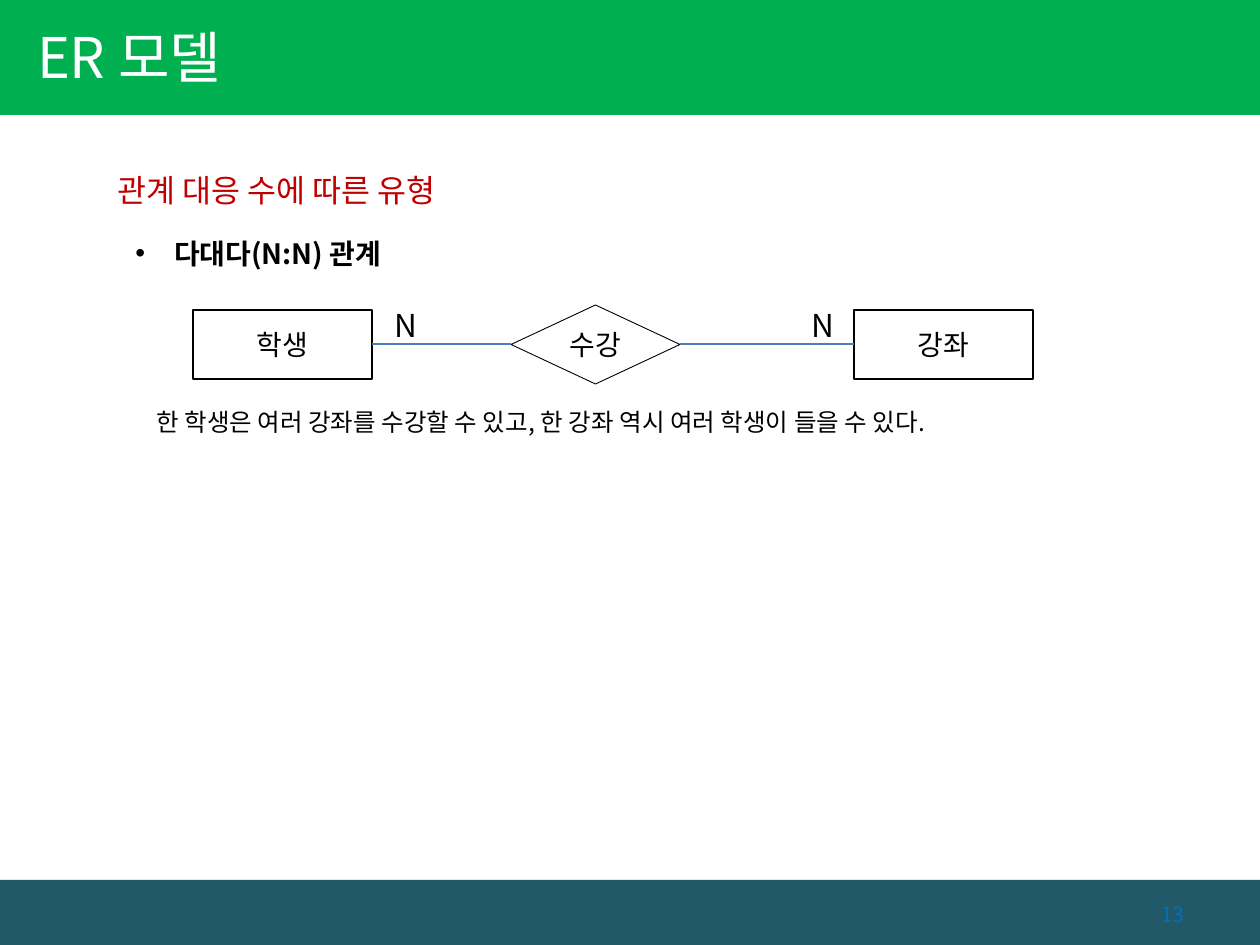
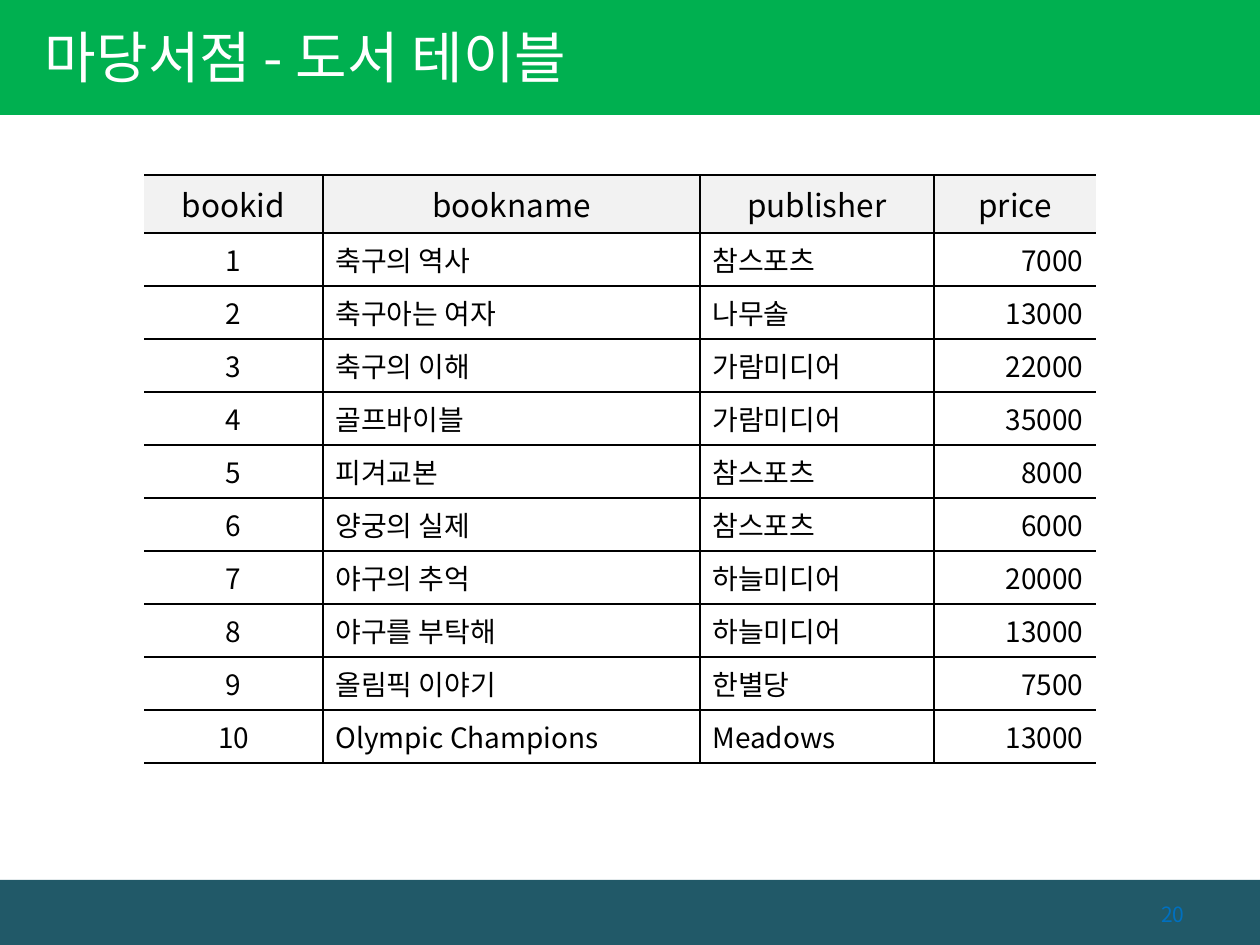
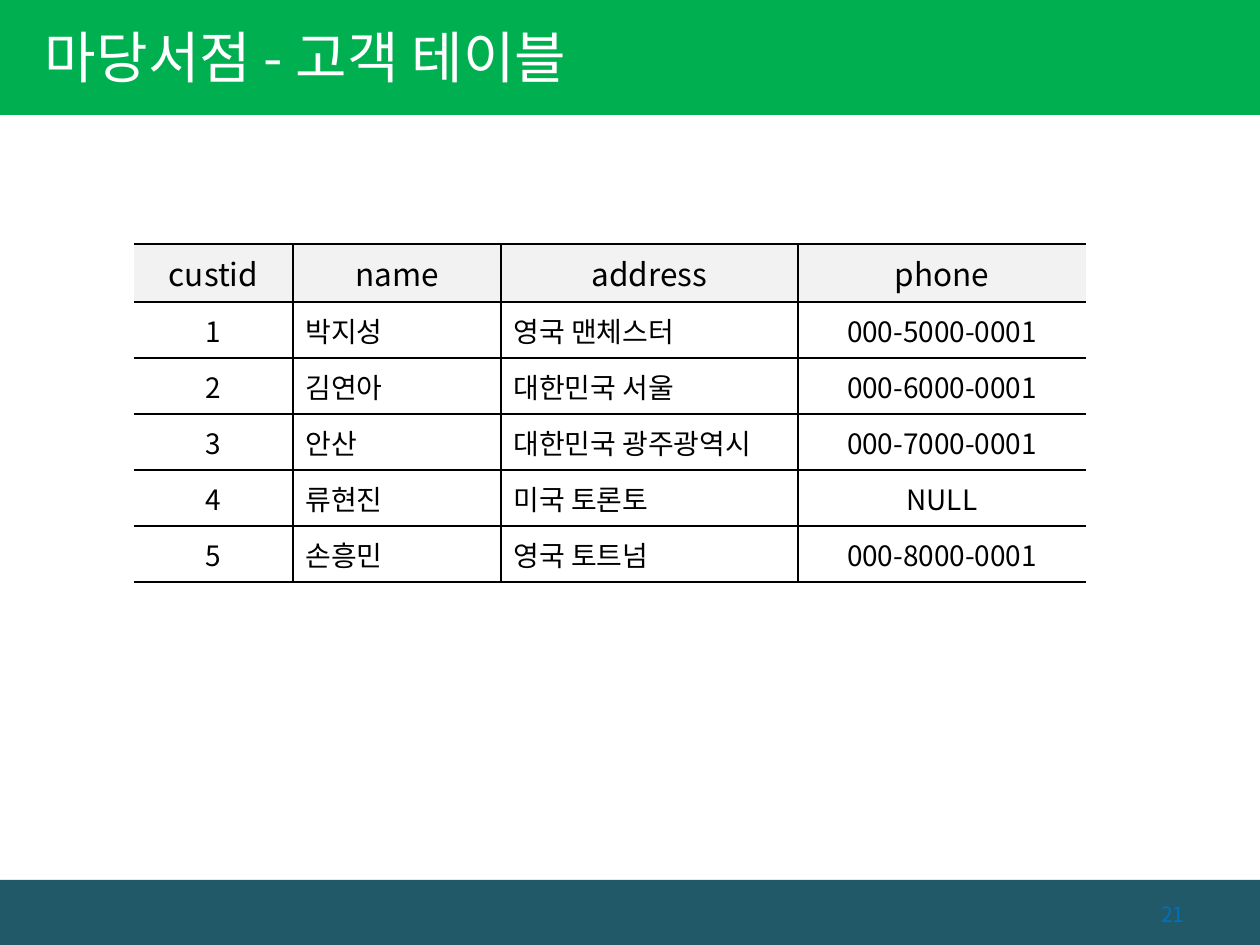
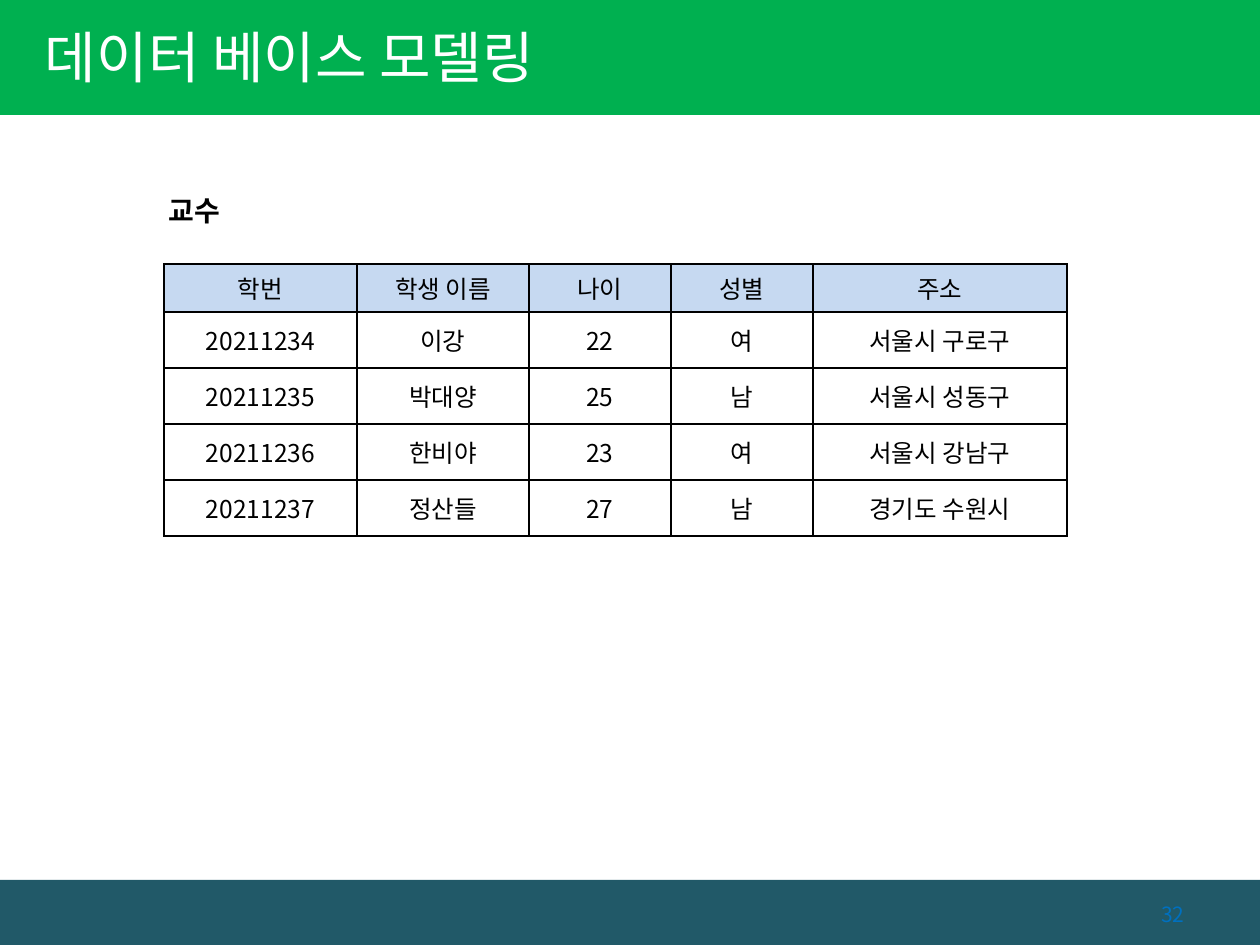
from dataclasses import dataclass

from lxml import etree
from pptx import Presentation
from pptx.dml.color import RGBColor
from pptx.enum.shapes import MSO_CONNECTOR, MSO_SHAPE
from pptx.enum.text import MSO_ANCHOR, MSO_AUTO_SIZE, PP_ALIGN
from pptx.oxml.ns import qn
from pptx.slide import Slide
from pptx.util import Emu, Pt

# Enum members
RECT, DIAMOND = MSO_SHAPE.RECTANGLE, MSO_SHAPE.DIAMOND
STRAIGHT = MSO_CONNECTOR.STRAIGHT
LEFT, CENTER, RIGHT = PP_ALIGN.LEFT, PP_ALIGN.CENTER, PP_ALIGN.RIGHT
TOP, MIDDLE = MSO_ANCHOR.TOP, MSO_ANCHOR.MIDDLE
GROW = MSO_AUTO_SIZE.SHAPE_TO_FIT_TEXT

# Colours and font
WHITE = RGBColor(0xFF, 0xFF, 0xFF)
BLACK = RGBColor(0x00, 0x00, 0x00)
GREEN = RGBColor(0x00, 0xB0, 0x50)
TEAL = RGBColor(0x21, 0x59, 0x68)
BLUE = RGBColor(0x00, 0x70, 0xC0)
RED = RGBColor(0xC0, 0x00, 0x00)
LINK = RGBColor(0x4B, 0x7E, 0xBC)
GRAY = RGBColor(0xF2, 0xF2, 0xF2)
PALE = RGBColor(0xC6, 0xD9, 0xF1)
FONT = "Noto Sans CJK KR"

# Scale: 126 px to the inch
DPI = 126
WIDTH, HEIGHT = 1260, 945


def px(n: int) -> Emu:
    return Emu(round(n * 914400 / DPI))


@dataclass(frozen=True)
class Box:
    x: int
    y: int
    w: int
    h: int

    def emu(self) -> tuple[Emu, ...]:
        return px(self.x), px(self.y), px(self.w), px(self.h)


@dataclass(frozen=True)
class Style:
    size: int
    color: RGBColor = BLACK
    bold: bool = False
    align: PP_ALIGN = LEFT


@dataclass(frozen=True)
class Shape:
    kind: MSO_SHAPE
    box: Box
    fill: RGBColor | None = None
    line: RGBColor | None = None
    weight: float = 1
    text: str = ""


@dataclass(frozen=True)
class Label:
    box: Box
    text: str
    style: Style
    bullet: bool = False


@dataclass(frozen=True)
class Grid:
    x: int
    y: int
    cols: tuple[int, ...]
    head: int
    row: int
    aligns: tuple[PP_ALIGN, ...]
    rows: tuple[tuple[str, ...], ...]
    sizes: tuple[int, int] = (18, 16)
    fill: RGBColor = GRAY
    sides: bool = False


# Shared parts of every slide
BANDS = (
    Shape(RECT, Box(0, 880, WIDTH, 65), TEAL),
    Shape(RECT, Box(0, 0, WIDTH, 115), GREEN),
)
TITLE_BOX, TITLE = Box(0, -3, 789, 118), Style(32, WHITE)
TITLE_PAD = 45
PAGE_BOX, PAGE = Box(1097, 896, 100, 37), Style(12, BLUE, align=RIGHT)
NODE = Style(16, align=CENTER)

# Relationship diagram
NODES = (
    Shape(RECT, Box(193, 310, 179, 69), line=BLACK, text="학생"),
    Shape(RECT, Box(854, 310, 179, 69), line=BLACK, text="강좌"),
    Shape(DIAMOND, Box(511, 305, 169, 79), line=BLACK, weight=0.5, text="수강"),
)
LINK_Y = 344
LINKS = ((372, 511), (680, 854))
LABELS = (
    Label(Box(105, 165, 387, 50), "관계 대응 수에 따른 유형", Style(18, RED)),
    Label(Box(382, 300, 49, 50), "N", Style(18)),
    Label(Box(799, 300, 49, 50), "N", Style(18)),
    Label(Box(123, 230, 318, 47), "다대다(N:N) 관계", Style(16, bold=True), True),
    Label(Box(144, 401, 1042, 43),
          "한 학생은 여러 강좌를 수강할 수 있고, 한 강좌 역시 여러 학생이 들을 수 있다.",
          Style(14)),
)

# Tables
BOOKS = Grid(
    144, 175, (179, 377, 234, 162), 58, 53, (CENTER, LEFT, LEFT, RIGHT),
    (
        ("bookid", "bookname", "publisher", "price"),
        ("1", "축구의 역사", "참스포츠", "7000"),
        ("2", "축구아는 여자", "나무솔", "13000"),
        ("3", "축구의 이해", "가람미디어", "22000"),
        ("4", "골프바이블", "가람미디어", "35000"),
        ("5", "피겨교본", "참스포츠", "8000"),
        ("6", "양궁의 실제", "참스포츠", "6000"),
        ("7", "야구의 추억", "하늘미디어", "20000"),
        ("8", "야구를 부탁해", "하늘미디어", "13000"),
        ("9", "올림픽 이야기", "한별당", "7500"),
        ("10", "Olympic Champions", "Meadows", "13000"),
    ),
)
CLIENTS = Grid(
    134, 244, (159, 208, 297, 288), 58, 56, (CENTER, LEFT, LEFT, CENTER),
    (
        ("custid", "name", "address", "phone"),
        ("1", "박지성", "영국 맨체스터", "000-5000-0001"),
        ("2", "김연아", "대한민국 서울", "000-6000-0001"),
        ("3", "안산", "대한민국 광주광역시", "000-7000-0001"),
        ("4", "류현진", "미국 토론토", "NULL"),
        ("5", "손흥민", "영국 토트넘", "000-8000-0001"),
    ),
)
PUPILS = Grid(
    164, 264, (193, 172, 142, 142, 254), 48, 56, (CENTER,) * 5,
    (
        ("학번", "학생 이름", "나이", "성별", "주소"),
        ("20211234", "이강", "22", "여", "서울시 구로구"),
        ("20211235", "박대양", "25", "남", "서울시 성동구"),
        ("20211236", "한비야", "23", "여", "서울시 강남구"),
        ("20211237", "정산들", "27", "남", "경기도 수원시"),
    ),
    sizes=(14, 14), fill=PALE, sides=True,
)


# Drawing
def write(frame, text: str, style: Style) -> None:
    para = frame.paragraphs[0]
    para.alignment = style.align
    run = para.add_run()
    run.text = text
    font = run.font
    font.name, font.size, font.bold = FONT, Pt(style.size), style.bold
    font.color.rgb = style.color
    etree.SubElement(run._r.get_or_add_rPr(), qn("a:ea"), typeface=FONT)


def draw_shape(slide: Slide, item: Shape) -> None:
    shape = slide.shapes.add_shape(item.kind, *item.box.emu())
    shape.shadow.inherit = False
    if item.fill is None:
        shape.fill.background()
    else:
        shape.fill.solid()
        shape.fill.fore_color.rgb = item.fill
    if item.line is None:
        shape.line.fill.background()
    else:
        shape.line.color.rgb = item.line
        shape.line.width = Pt(item.weight)
    if item.text:
        shape.text_frame.vertical_anchor = MIDDLE
        write(shape.text_frame, item.text, NODE)


def draw_text(slide: Slide, box: Box, text: str, style: Style, anchor: MSO_ANCHOR = TOP):
    frame = slide.shapes.add_textbox(*box.emu()).text_frame
    frame.word_wrap = True
    frame.vertical_anchor = anchor
    write(frame, text, style)
    return frame


def draw_label(slide: Slide, item: Label) -> None:
    frame = draw_text(slide, item.box, item.text, item.style)
    frame.auto_size = GROW
    if item.bullet:
        props = frame.paragraphs[0]._p.get_or_add_pPr()
        props.set("marL", str(px(39)))
        props.set("indent", str(px(-39)))
        etree.SubElement(props, qn("a:buFont"), typeface="Arial")
        etree.SubElement(props, qn("a:buChar"), char="•")


def draw_link(slide: Slide, start: int, end: int) -> None:
    link = slide.shapes.add_connector(STRAIGHT, px(start), px(LINK_Y), px(end), px(LINK_Y))
    link.line.color.rgb = LINK
    link.line.width = Pt(0.75)
    etree.SubElement(link._element.spPr, qn("a:effectLst"))


def set_edge(cell, side: str, shown: bool) -> None:
    edge = etree.SubElement(cell._tc.get_or_add_tcPr(), qn(f"a:ln{side}"), w=str(Pt(1)))
    if shown:
        fill = etree.SubElement(edge, qn("a:solidFill"))
        etree.SubElement(fill, qn("a:srgbClr"), val=str(BLACK))
    else:
        etree.SubElement(edge, qn("a:noFill"))


def draw_grid(slide: Slide, grid: Grid) -> None:
    count, last = len(grid.rows), len(grid.cols) - 1
    box = Box(grid.x, grid.y, sum(grid.cols), grid.head + grid.row * (count - 1))
    table = slide.shapes.add_table(count, last + 1, *box.emu()).table
    table.first_row = table.horz_banding = False
    for col, width in zip(table.columns, grid.cols):
        col.width = px(width)
    for r, row in enumerate(grid.rows):
        head = r == 0
        table.rows[r].height = px(grid.head if head else grid.row)
        for c, text in enumerate(row):
            cell = table.cell(r, c)
            cell.vertical_anchor = MIDDLE
            set_edge(cell, "L", grid.sides or c > 0)
            set_edge(cell, "R", grid.sides or c < last)
            set_edge(cell, "T", True)
            set_edge(cell, "B", True)
            if head:
                cell.fill.solid()
                cell.fill.fore_color.rgb = grid.fill
            else:
                cell.fill.background()
            align = CENTER if head else grid.aligns[c]
            write(cell.text_frame, text, Style(grid.sizes[not head], align=align))


def add_page(deck, title: str, page: int, pad: int = TITLE_PAD) -> Slide:
    slide = deck.slides.add_slide(deck.slide_layouts[6])
    for band in BANDS:
        draw_shape(slide, band)
    frame = draw_text(slide, TITLE_BOX, title, TITLE, MIDDLE)
    frame.margin_left = px(pad)
    draw_text(slide, PAGE_BOX, str(page), PAGE, MIDDLE)
    return slide


def main() -> None:
    deck = Presentation()
    deck.slide_width, deck.slide_height = px(WIDTH), px(HEIGHT)

    # Many-to-many relationship
    slide = add_page(deck, "ER 모델", 13, pad=37)
    for node in NODES:
        draw_shape(slide, node)
    for start, end in LINKS:
        draw_link(slide, start, end)
    for label in LABELS:
        draw_label(slide, label)

    # Bookshop tables
    draw_grid(add_page(deck, "마당서점 - 도서 테이블", 20), BOOKS)
    draw_grid(add_page(deck, "마당서점 - 고객 테이블", 21), CLIENTS)

    # Student table
    slide = add_page(deck, "데이터 베이스 모델링", 32)
    draw_grid(slide, PUPILS)
    draw_label(slide, Label(Box(156, 187, 95, 47), "교수", Style(16, bold=True)))

    deck.save("out.pptx")


if __name__ == "__main__":
    main()
